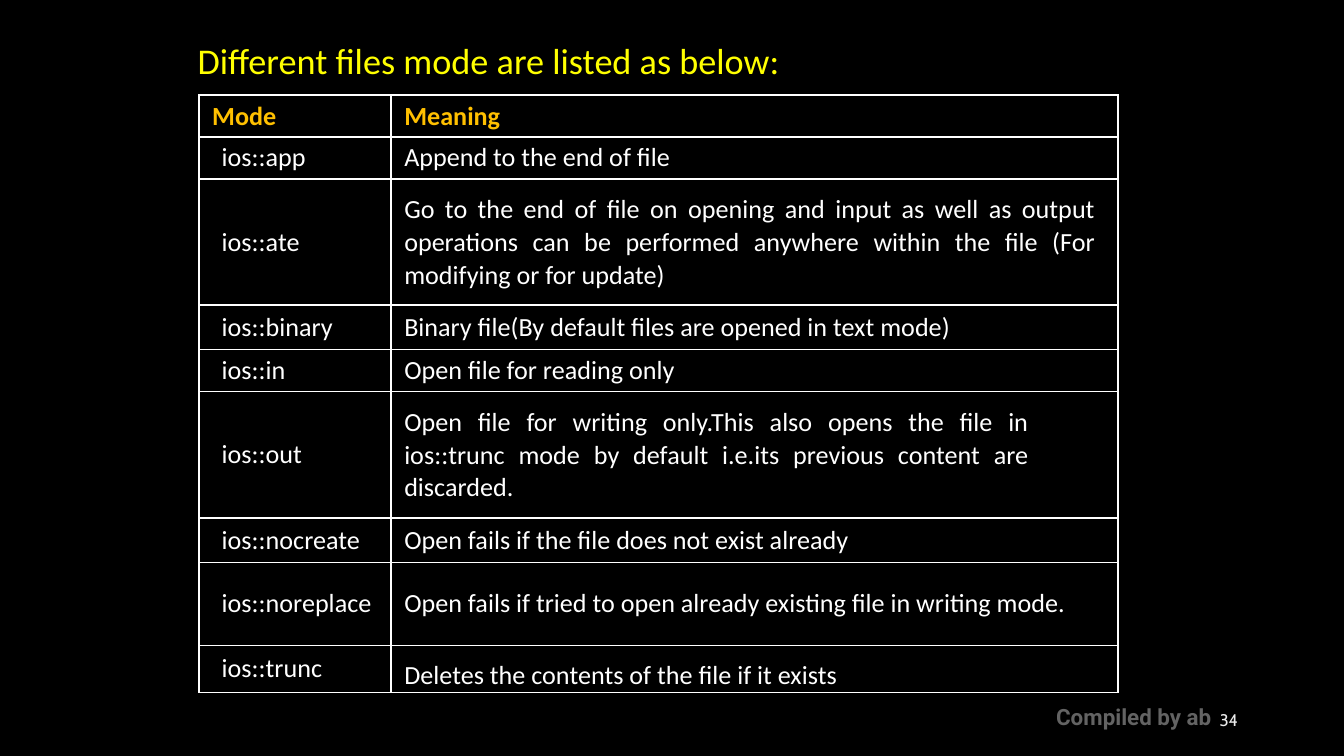
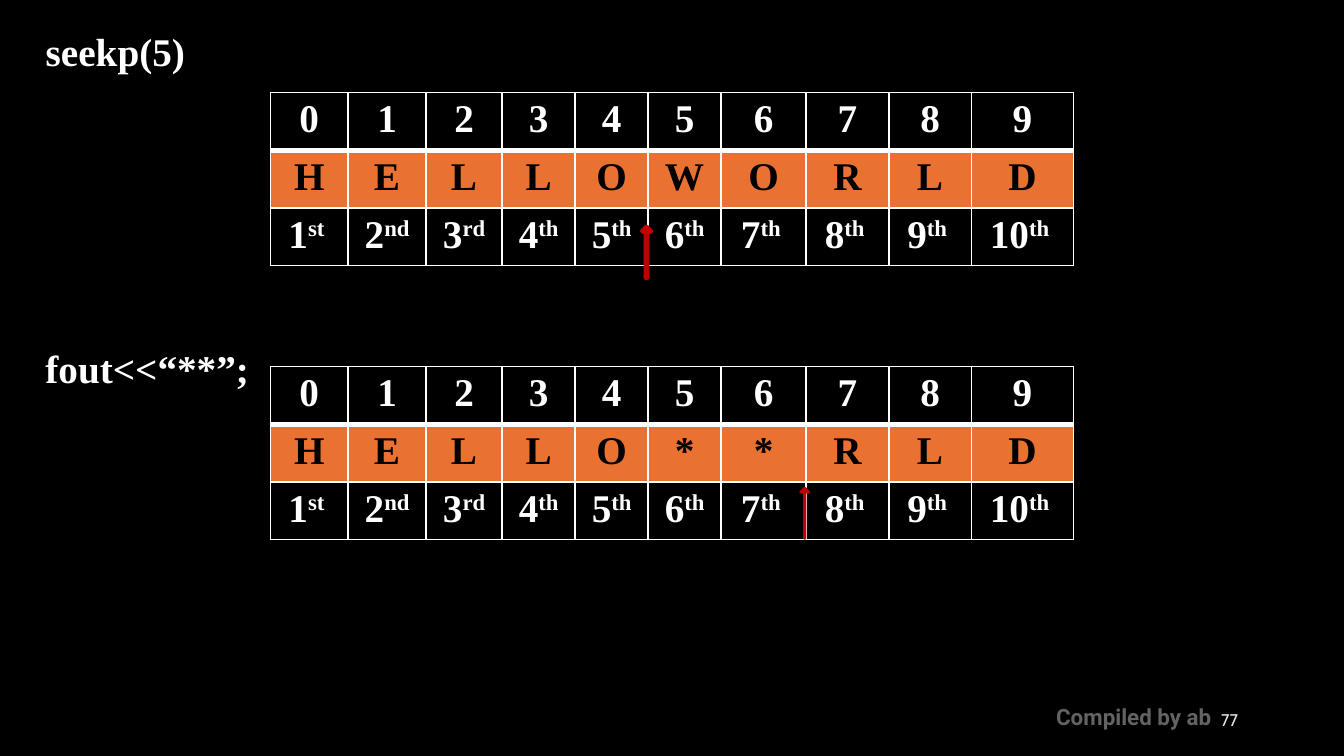
from dataclasses import dataclass
from lxml.etree import SubElement
from pptx import Presentation
from pptx.dml.color import RGBColor
from pptx.enum.text import MSO_ANCHOR, MSO_AUTO_SIZE, PP_ALIGN
from pptx.oxml.ns import qn
from pptx.util import Cm, Pt


@dataclass(frozen=True)
class Theme:
    back: str = "000000"
    text: str = "FFFFFF"
    title: str = "FFFF00"
    head: str = "FFC000"
    band: str = "E97132"
    arrow: str = "C00000"
    core: str = "497DBA"
    page: str = "EAEAEA"
    sans: str = "Calibri"
    serif: str = "Times New Roman"
    credit: str = "Roboto"
    number: str = "Cabin"
    big: float = 21
    lead: float = 19.4
    body: float = 14
    note: float = 12
    small: float = 9
    thin: float = 1
    thick: float = 3


LOOK = Theme()

MODES = [
    ("Mode", "Meaning", 0.79),
    ("ios::app", "Append to the end of file", 0.79),
    ("ios::ate", "Go to the end of file on opening and input as well as output operations "
     "can be performed anywhere within the file (For modifying or for update)", 2.39),
    ("ios::binary", "Binary file(By default files are opened in text mode)", 0.84),
    ("ios::in", "Open file for reading only", 0.79),
    ("ios::out", "Open file for writing only.This also opens the file in ios::trunc mode "
     "by default i.e.its previous content are discarded.", 2.39),
    ("ios::nocreate", "Open fails if the file does not exist already", 0.84),
    ("ios::noreplace", "Open fails if tried to open already existing file in writing mode.", 1.57),
    ("ios::trunc", "Deletes the contents of the file if it exists", 0.89),
]
INSETS = {2: 0.42, 5: 1.68}
LOOSE = (2, 5, 6)
ENDS = ["st ", "nd", "rd", "th", "th", "th", "th ", "th ", "th ", "th "]
WIDTHS = [1.47, 1.47, 1.44, 1.38, 1.38, 1.38, 1.61, 1.56, 1.56, 1.93]
ARROW = [(8, 0), (16, 8), (13, 9), (9, 4), (9, 96), (7, 96), (7, 4), (3, 9), (0, 8)]


def style(para, size, face, color, bold=False, align=PP_ALIGN.LEFT, before=0, indent=0):
    font = para.font
    font.size, font.name, font.bold = Pt(size), face, bold
    font.color.rgb = RGBColor.from_string(color)
    para.alignment, para.space_before = align, Pt(before)
    props = para._p.get_or_add_pPr()
    props.set("marL", str(Cm(indent)))
    props.set("indent", "0")


def place(shape, x, y, w, h):
    shape.left, shape.top, shape.width, shape.height = Cm(x), Cm(y), Cm(w), Cm(h)


def write(shape, text, anchor=MSO_ANCHOR.TOP, fit=MSO_AUTO_SIZE.NONE):
    frame = shape.text_frame
    frame.text = text
    frame.word_wrap = True
    frame.auto_size, frame.vertical_anchor = fit, anchor
    return frame.paragraphs[0]


def add_text(slide, box, text, **kind):
    return write(slide.shapes.add_textbox(*map(Cm, box)), text, **kind)


def add_foot(slide, page):
    credit = add_text(slide, (19.71, 13.16, 3.61, 0.76), "Compiled by ab",
                      fit=MSO_AUTO_SIZE.SHAPE_TO_FIT_TEXT)
    style(credit, LOOK.note, LOOK.credit, LOOK.text, True)
    for tint in credit._p.iter(qn("a:srgbClr")):
        SubElement(tint, qn("a:alpha"), val="38000")
    number = add_text(slide, (17.93, 13.23, 5.72, 0.76), page, anchor=MSO_ANCHOR.MIDDLE)
    style(number, LOOK.small, LOOK.number, LOOK.page, align=PP_ALIGN.RIGHT)


def add_grid(slide, x, y, widths, heights):
    grid = slide.shapes.add_table(len(heights), len(widths), Cm(x), Cm(y),
                                  Cm(sum(widths)), Cm(sum(heights))).table
    grid.first_row = grid.horz_banding = False
    for col, width in zip(grid.columns, widths):
        col.width = Cm(width)
    for row, height in zip(grid.rows, heights):
        row.height = Cm(height)
    return grid


def paint(cell, fill, pads, top=LOOK.thin, bottom=LOOK.thin):
    props = cell._tc.get_or_add_tcPr()
    for side, width in zip("LRTB", (LOOK.thin, LOOK.thin, top, bottom)):
        line = SubElement(props, qn(f"a:ln{side}"), w=str(Pt(width)))
        SubElement(SubElement(line, qn("a:solidFill")), qn("a:srgbClr"), val=LOOK.text)
    cell.fill.solid()
    cell.fill.fore_color.rgb = RGBColor.from_string(fill)
    cell.margin_left, cell.margin_top, cell.margin_right, cell.margin_bottom = map(Cm, pads)


def add_modes(slide, x, y):
    grid = add_grid(slide, x, y, [3.63, 13.74], [row[2] for row in MODES])
    for r, row in enumerate(MODES):
        for c, text in enumerate(row[:2]):
            cell = grid.cell(r, c)
            paint(cell, LOOK.back, (0, 0, INSETS.get(r, 0) if c else 0, 0))
            cell.vertical_anchor = MSO_ANCHOR.MIDDLE
            cell.text = text
            para = cell.text_frame.paragraphs[0]
            style(para, LOOK.body, LOOK.sans, LOOK.text if r else LOOK.head, r == 0,
                  PP_ALIGN.JUSTIFY, 2.2 if r == 1 else 3.2, 0.43 if r and not c else 0.25)
            if c and r in LOOSE:
                para.line_spacing = 1.03
    last = grid.cell(len(MODES) - 1, 1).text_frame.paragraphs[0]
    last.line_spacing, last.space_before = Pt(24), Pt(1.4)


def add_bytes(slide, x, y, letters):
    grid = add_grid(slide, x, y, WIDTHS, [1.07] * 3)
    for c, (letter, end) in enumerate(zip(letters, ENDS)):
        for r, text in enumerate((str(c), letter, str(c + 1))):
            cell = grid.cell(r, c)
            paint(cell, LOOK.band if r == 1 else LOOK.back, (0.18, 0.1, 0.18, 0.1),
                  LOOK.thick if r == 1 else LOOK.thin, LOOK.thick if r == 0 else LOOK.thin)
            para = cell.text_frame.paragraphs[0]
            para.add_run().text = text
            if r == 2:
                rank = para.add_run()
                rank.text = end
                rank.font._element.set("baseline", "30000")
            style(para, LOOK.big, LOOK.serif, LOOK.back if r == 1 else LOOK.text, True,
                  PP_ALIGN.CENTER)


def add_arrow(slide, x, y, width):
    path = slide.shapes.build_freeform(*ARROW[0], scale=Cm(0.01))
    path.add_line_segments(ARROW[1:], close=True)
    arrow = path.convert_to_shape(Cm(x), Cm(y))
    arrow.shadow.inherit = False
    arrow.fill.solid()
    arrow.fill.fore_color.rgb = RGBColor.from_string(LOOK.core)
    arrow.line.color.rgb = RGBColor.from_string(LOOK.arrow)
    arrow.line.width = Pt(width)


def add_step(slide, x, y, letters, count, drop, width):
    add_bytes(slide, x, y, letters)
    add_arrow(slide, x + sum(WIDTHS[:count]) - 0.11, y + drop, width)


def new_slide(deck, page):
    slide = deck.slides.add_slide(deck.slide_layouts.get_by_name("Title Only"))
    add_foot(slide, page)
    return slide


def mode_slide(deck):
    slide = new_slide(deck, "34")
    title = slide.shapes.title
    place(title, 3.48, 0.76, 11.91, 0.89)
    para = write(title, "Different files mode are listed as below:")
    style(para, LOOK.lead, LOOK.sans, LOOK.title)
    para.line_spacing = 0.8
    add_modes(slide, 3.76, 1.8)


def seek_slide(deck):
    slide = new_slide(deck, "77")
    title = slide.shapes.title
    place(title, 0.43, 0.38, 3.51, 1.14)
    fit = MSO_AUTO_SIZE.SHAPE_TO_FIT_TEXT
    seek = write(title, "seekp(5)", fit=fit)
    put = add_text(slide, (0.43, 6.38, 4.62, 1.14), "fout<<“**”;", fit=fit)
    for label in (seek, put):
        style(label, LOOK.big, LOOK.serif, LOOK.text, True, before=2.8, indent=0.18)
    add_step(slide, 5.11, 1.75, "HELLOWORLD", 5, 2.54, 2.5)
    add_step(slide, 5.11, 6.93, "HELLO**RLD", 7, 2.29, 1.25)


def main():
    deck = Presentation()
    deck.slide_width, deck.slide_height = Cm(25.4), Cm(14.29)
    fill = deck.slide_master.background.fill
    fill.solid()
    fill.fore_color.rgb = RGBColor.from_string(LOOK.back)
    mode_slide(deck)
    seek_slide(deck)
    deck.save("out.pptx")


if __name__ == "__main__":
    main()
